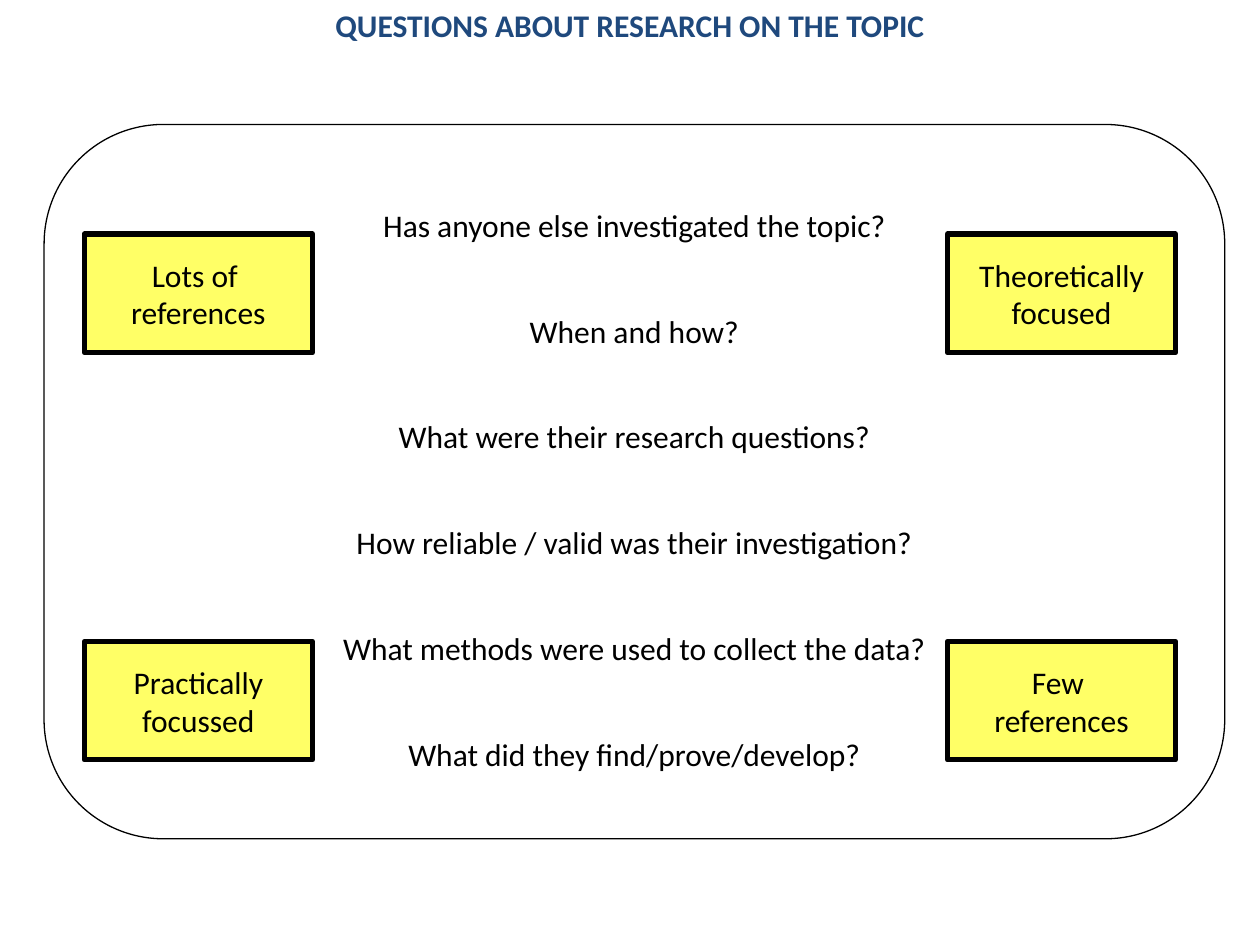
from pptx import Presentation
from pptx import util as u
from pptx.dml.color import RGBColor
from pptx.enum import shapes, text


def color(value):
    return RGBColor.from_string(value)


def write_lines(shape, lines, font_color="000000", bold=False, spacing=None, gap=0):
    frame = shape.text_frame
    frame.vertical_anchor = text.MSO_ANCHOR.MIDDLE
    for index, line in enumerate(lines):
        paragraph = frame.paragraphs[0] if index == 0 else frame.add_paragraph()
        paragraph.text = line
        paragraph.alignment = text.PP_ALIGN.CENTER
        paragraph.line_spacing = spacing
        if index and gap:
            paragraph.space_before = u.Pt(gap)
        paragraph.font.name = "Calibri"
        paragraph.font.size = u.Pt(18)
        paragraph.font.bold = bold
        paragraph.font.color.rgb = color(font_color)


presentation = Presentation()
presentation.slide_width = u.Cm(25.4)
presentation.slide_height = u.Cm(19.05)
slide = presentation.slides.add_slide(presentation.slide_layouts[6])

# Title
title = slide.shapes.add_textbox(0, 0, presentation.slide_width, u.Cm(1.02))
title.text_frame.word_wrap = True
write_lines(title, ["QUESTIONS ABOUT RESEARCH ON THE TOPIC"], "1F497D", bold=True)

# Rounded panel with the questions
questions = [
    "Has anyone else investigated the topic?",
    "When and how?",
    "What were their research questions?",
    "How reliable / valid was their investigation?",
    "What methods were used to collect the data?",
    "What did they find/prove/develop?",
]
panel = slide.shapes.add_shape(
    shapes.MSO_SHAPE.ROUNDED_RECTANGLE, u.Cm(0.89), u.Cm(2.51), u.Cm(23.8), u.Cm(14.4))
panel.adjustments[0] = 0.167
panel.shadow.inherit = False
panel.fill.solid()
panel.fill.fore_color.rgb = color("FFFFFF")
panel.line.color.rgb = color("000000")
panel.line.width = u.Pt(0.75)
panel.text_frame.word_wrap = False
write_lines(panel, questions, spacing=1.4, gap=30.2)

# Yellow labels, one in each corner
left, right = 1.7, 19.1
upper, lower = 4.72, 12.93
labels = [
    (left, upper, ["Lots of ", "references"]),
    (right, lower, ["Few ", "references"]),
    (left, lower, ["Practically", "focussed"]),
    (right, upper, ["Theoretically", "focused"]),
]
for x, y, lines in labels:
    label = slide.shapes.add_shape(
        shapes.MSO_SHAPE.RECTANGLE, u.Cm(x), u.Cm(y), u.Cm(4.6), u.Cm(2.39))
    label.shadow.inherit = False
    label.fill.solid()
    label.fill.fore_color.rgb = color("FFFF66")
    label.line.color.rgb = color("000000")
    label.line.width = u.Pt(3)
    label.text_frame.word_wrap = False
    write_lines(label, lines)

presentation.save("out.pptx")
